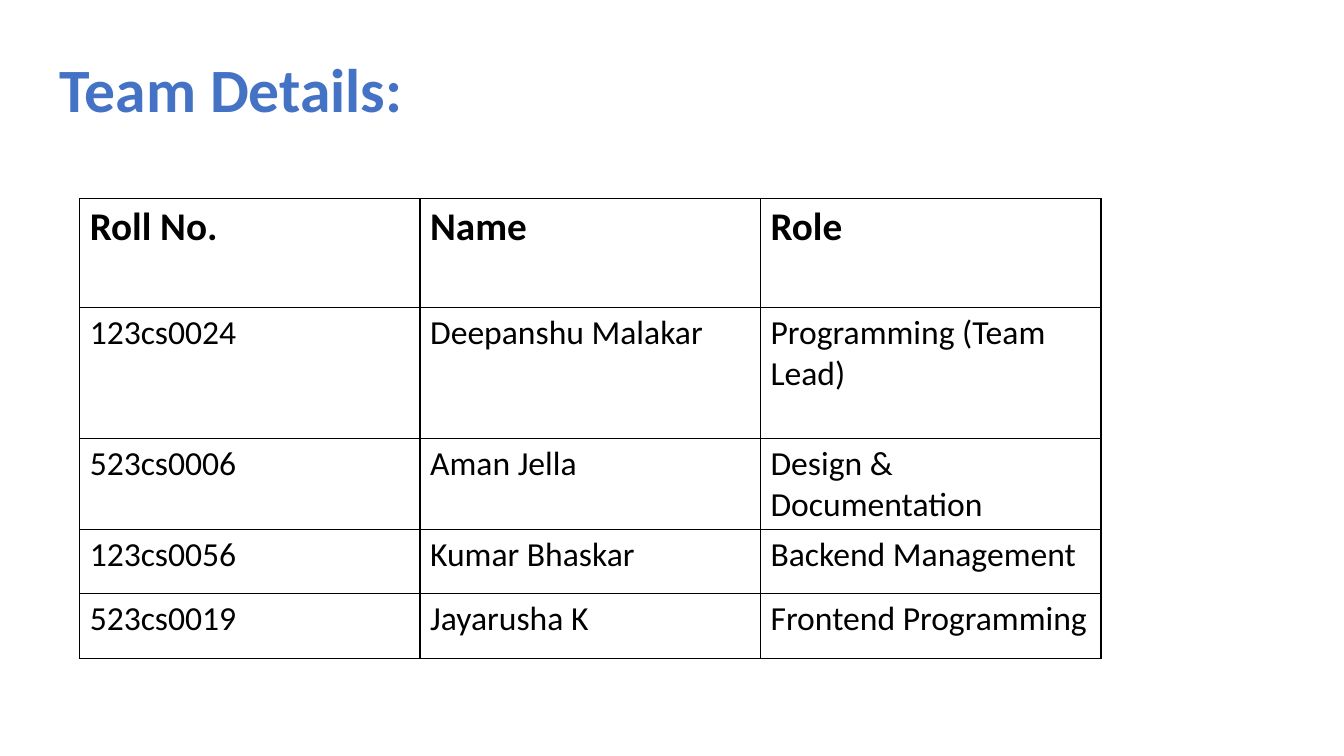
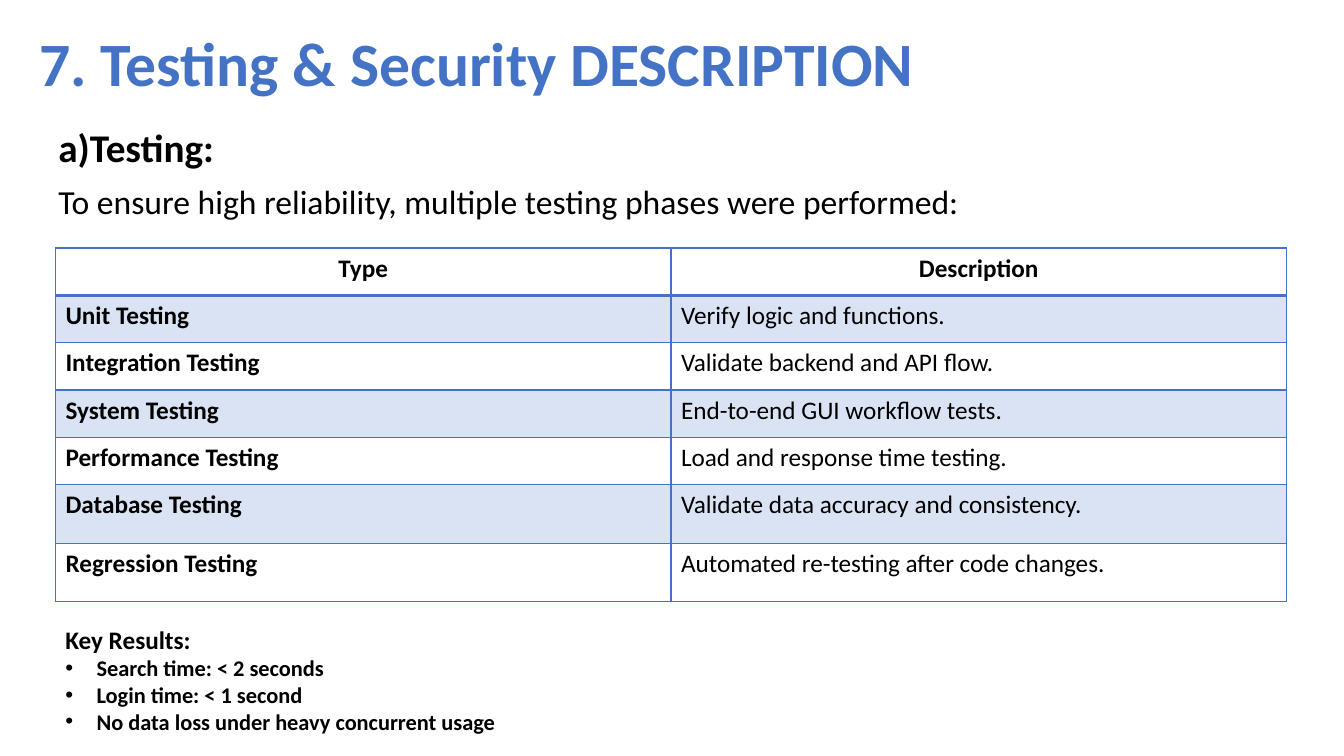
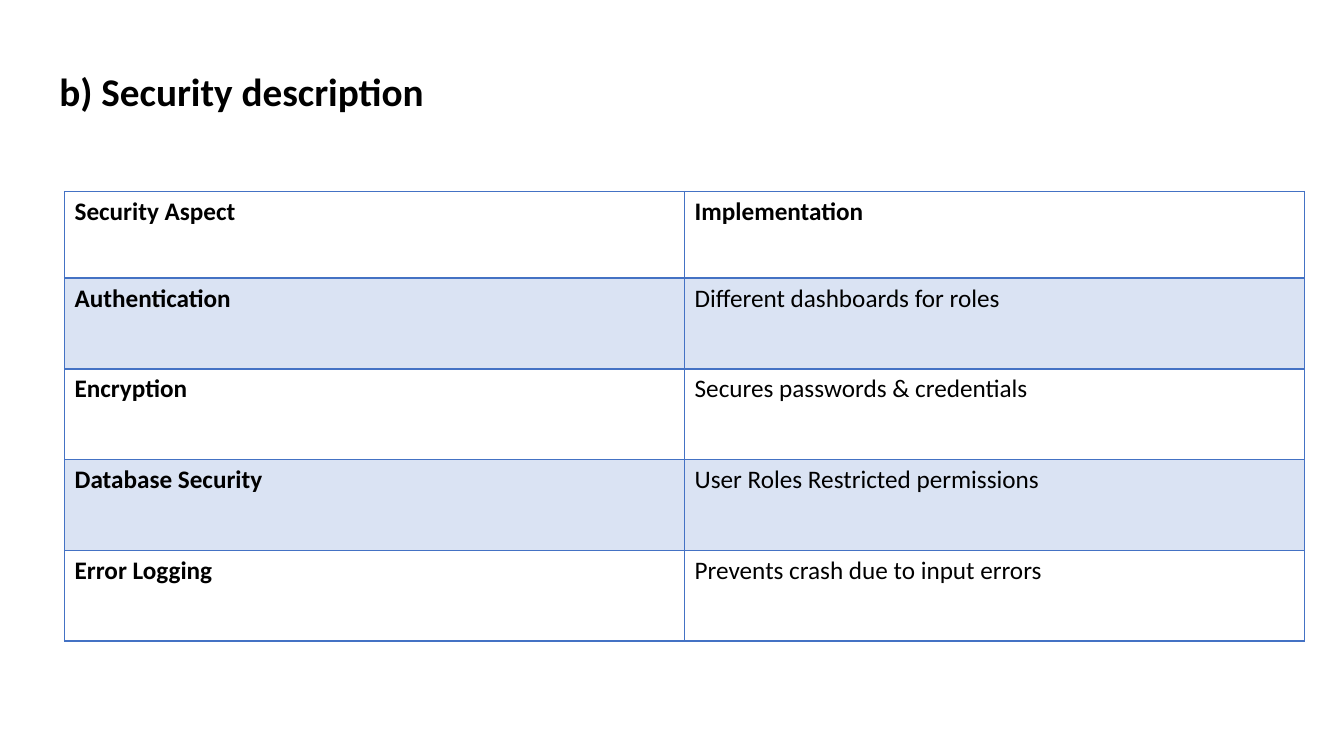
from dataclasses import dataclass

from lxml.etree import SubElement
from pptx import Presentation
from pptx.dml.color import RGBColor as RGB
from pptx.enum.text import MSO_ANCHOR as Anchor, PP_ALIGN as Align
from pptx.oxml.ns import qn
from pptx.util import Inches, Pt


@dataclass(frozen=True)
class Theme:
    font: str = "Calibri"
    accent: str = "4472C4"
    band: str = "DAE3F3"
    ink: str = "000000"
    title: float = 44
    heading: float = 28
    body: float = 24
    cell: float = 18
    bullet: float = 16


theme = Theme()


def add_text(slide, box, lines, color=theme.ink, spacing=None, before=0,
             align=Align.LEFT, wrap=True, anchor=Anchor.TOP):
    """Add a text box; each line is (text, size, bold, bulleted)."""
    frame = slide.shapes.add_textbox(*map(Inches, box)).text_frame
    frame.word_wrap = wrap
    frame.vertical_anchor = anchor
    frame.text = "\n".join(line[0] for line in lines)
    for paragraph, (_, size, bold, bulleted) in zip(frame.paragraphs, lines):
        paragraph.alignment = align
        paragraph.line_spacing = spacing
        paragraph.space_before = Pt(before)
        font = paragraph.runs[0].font
        font.name, font.size, font.bold = theme.font, Pt(size), bold
        font.color.rgb = RGB.from_string(color)
        if bulleted:
            properties = paragraph._p.get_or_add_pPr()
            properties.set("marL", str(Inches(0.31)))
            properties.set("indent", str(-Inches(0.31)))
            SubElement(properties, qn("a:buFont"), typeface="Arial")
            SubElement(properties, qn("a:buChar"), char="•")


def add_grid(slide, left, top, width, heights, rows, line_color, sizes,
             banded=True, header_align=Align.LEFT):
    """Add a bordered table; sizes holds the header and body type sizes."""
    columns = len(rows[0])
    table = slide.shapes.add_table(
        len(rows), columns, Inches(left), Inches(top),
        Inches(width), Inches(sum(heights))).table
    table.first_row = table.horz_banding = False
    for column in table.columns:
        column.width = Inches(width / columns)
    for r, (height, texts) in enumerate(zip(heights, rows)):
        table.rows[r].height = Inches(height)
        for c, text in enumerate(texts):
            cell = table.cell(r, c)
            cell.text = text
            paragraph = cell.text_frame.paragraphs[0]
            paragraph.alignment = header_align if r == 0 else Align.LEFT
            font = paragraph.runs[0].font
            font.name = theme.font
            font.size = Pt(sizes[0] if r == 0 else sizes[1])
            font.bold = r == 0 or (banded and c == 0)
            font.color.rgb = RGB.from_string(theme.ink)

            # Borders, with a heavier rule under a banded table's header
            for side in "LRTB":
                under_header = banded and (r, side) in ((0, "B"), (1, "T"))
                border = SubElement(cell._tc.get_or_add_tcPr(), qn(f"a:ln{side}"),
                                    w=str(Pt(2 if under_header else 1)))
                fill = SubElement(border, qn("a:solidFill"))
                SubElement(fill, qn("a:srgbClr"), val=line_color)

            if banded and r % 2:
                cell.fill.solid()
                cell.fill.fore_color.rgb = RGB.from_string(theme.band)
            else:
                cell.fill.background()


presentation = Presentation()
presentation.slide_width, presentation.slide_height = Inches(13.33), Inches(7.5)
team, testing, security = [
    presentation.slides.add_slide(presentation.slide_layouts[6]) for _ in range(3)]

# Slide 1: team
add_text(team, (0.43, 0.46, 3.73, 0.84),
         [("Team Details:", theme.title, True, False)],
         color=theme.accent, align=Align.CENTER, wrap=False)
add_grid(team, 0.79, 1.97, 10.13, [1.08, 1.3, 0.9, 0.64, 0.64], [
    ("Roll No.", "Name", "Role"),
    ("123cs0024", "Deepanshu Malakar", "Programming (Team Lead)"),
    ("523cs0006", "Aman Jella", "Design & Documentation"),
    ("123cs0056", "Kumar Bhaskar", "Backend Management"),
    ("523cs0019", "Jayarusha K", "Frontend Programming"),
], theme.ink, (theme.heading, theme.body), banded=False)

# Slide 2: testing
add_text(testing, (0.29, 0.28, 12.03, 0.8),
         [("7. Testing & Security DESCRIPTION", theme.title, True, False)],
         color=theme.accent, spacing=0.9)
add_text(testing, (0.48, 1.23, 12.56, 1.15), [
    ("a)Testing:", theme.heading, True, False),
    ("To ensure high reliability, multiple testing phases were performed:",
     theme.body, False, False),
], spacing=0.9, before=10)
add_grid(testing, 0.55, 2.46, 12.21, [0.47] * 5 + [0.58] * 2, [
    ("Type", "Description"),
    ("Unit Testing", "Verify logic and functions."),
    ("Integration Testing", "Validate backend and API flow."),
    ("System Testing", "End-to-end GUI workflow tests."),
    ("Performance Testing", "Load and response time testing."),
    ("Database Testing", "Validate data accuracy and consistency."),
    ("Regression Testing", "Automated re-testing after code changes."),
], theme.accent, (theme.cell, theme.cell), header_align=Align.CENTER)
add_text(testing, (0.55, 6.14, 12.21, 1.21), [
    ("Key Results:", theme.cell, True, False),
    ("Search time: < 2 seconds", theme.bullet, True, True),
    ("Login time: < 1 second", theme.bullet, True, True),
    ("No data loss under heavy concurrent usage", theme.bullet, True, True),
])

# Slide 3: security
add_text(security, (0.49, 0.17, 11.93, 1.53),
         [("b) Security description", theme.heading, True, False)],
         spacing=0.9, anchor=Anchor.MIDDLE)
add_grid(security, 0.64, 1.9, 12.3, [0.86] + [0.9] * 4, [
    ("Security Aspect", "Implementation"),
    ("Authentication", "Different dashboards for roles"),
    ("Encryption", "Secures passwords & credentials"),
    ("Database Security", "User Roles Restricted permissions"),
    ("Error Logging", "Prevents crash due to input errors"),
], theme.accent, (theme.cell, theme.cell))

presentation.save("out.pptx")
